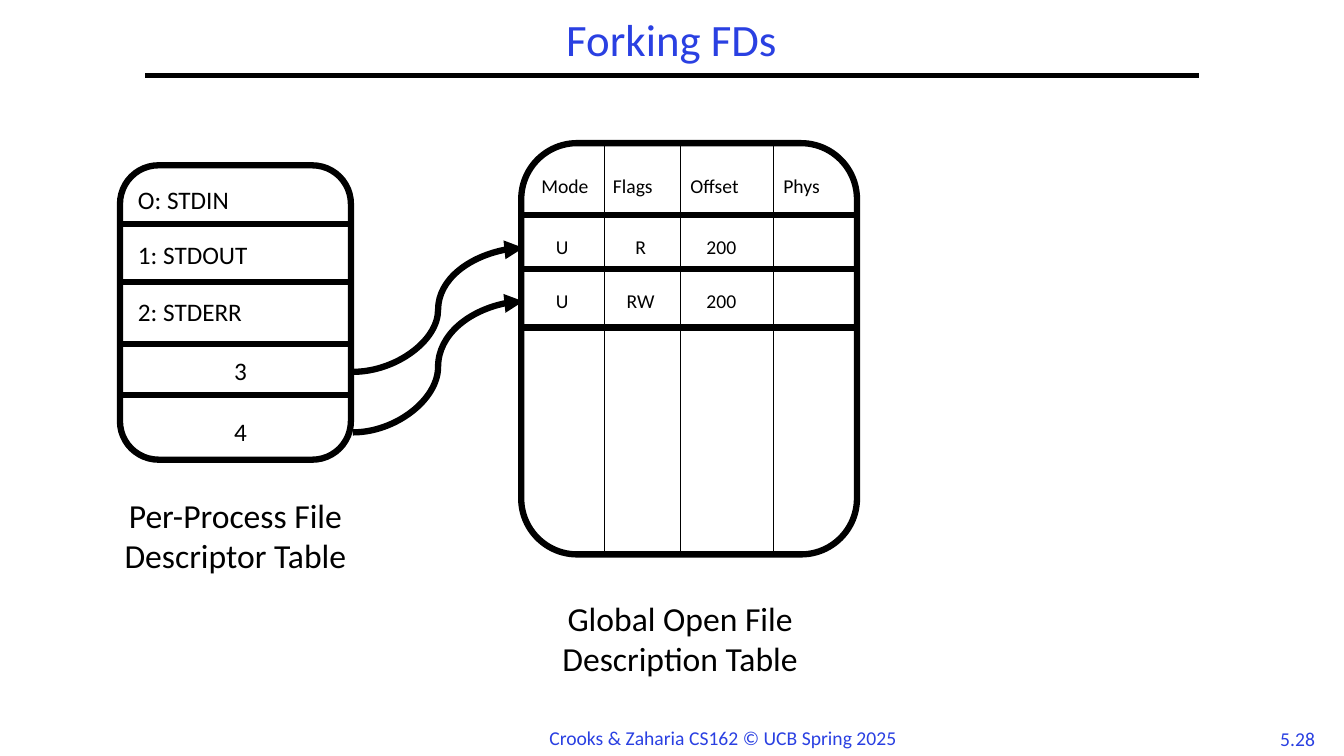
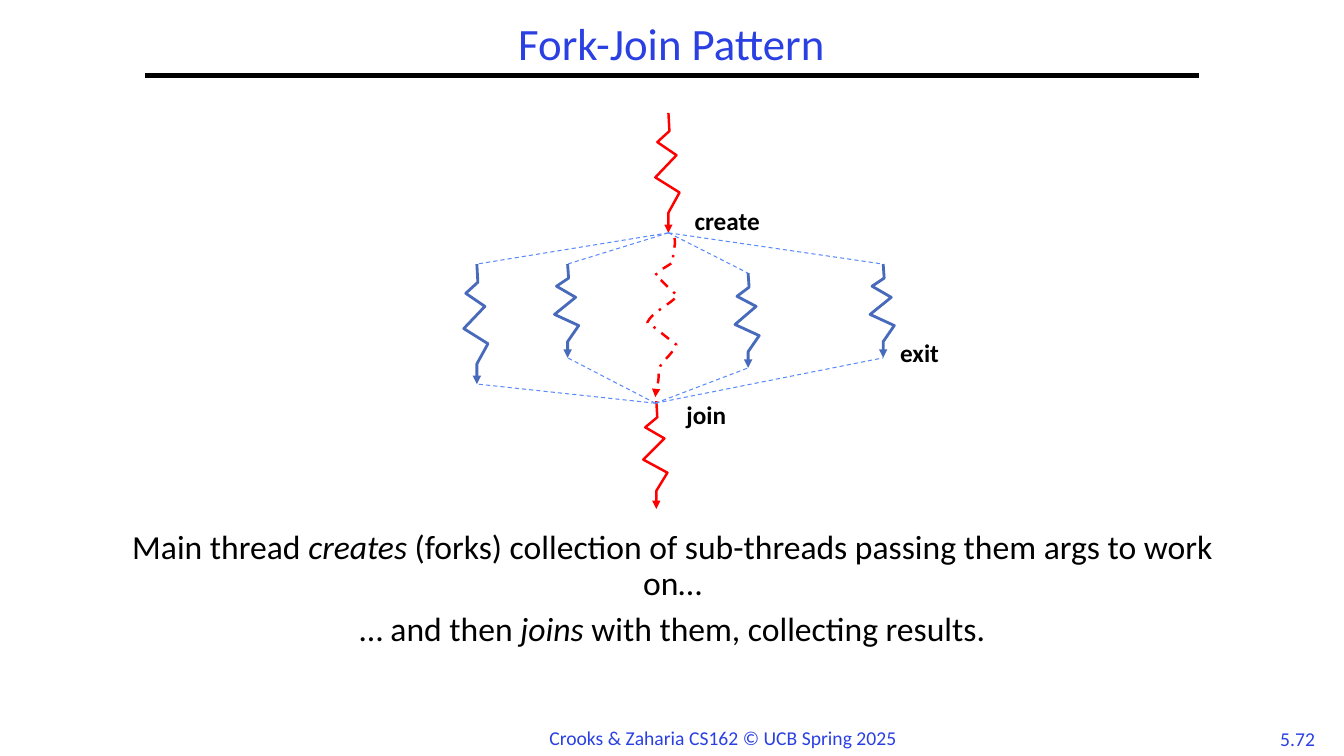
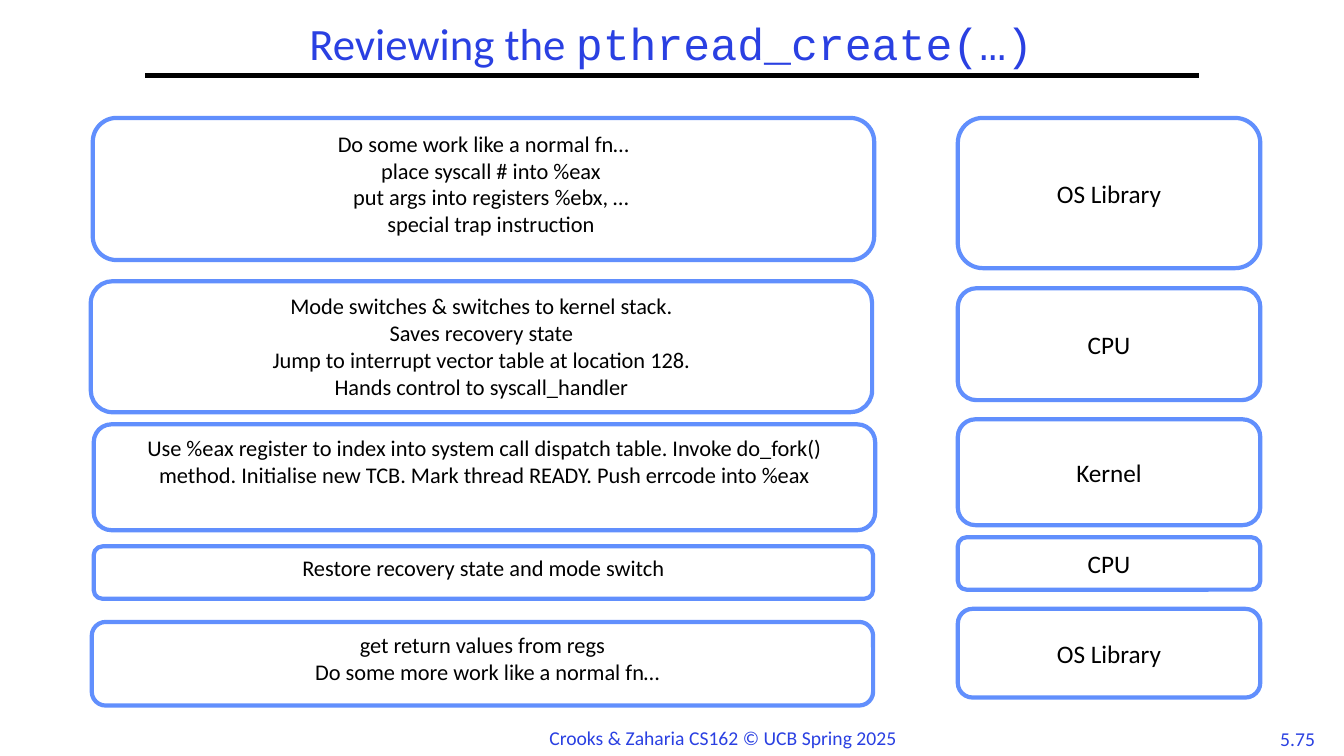
import pptx
import pptx.dml.color
import pptx.enum.dml
import pptx.enum.shapes
import pptx.enum.text
import pptx.oxml.ns
import pptx.util
from lxml import etree

PX = 9144
COLORS = {
    "black": "000000",
    "white": "FFFFFF",
    "title": "2A40E2",
    "panel": "618FFD",
    "link": "5B8AFB",
    "main": "FF0000",
    "worker": "486ABB",
}
FONT = "Calibri"
CODE_FONT = "Courier New"
DASH = pptx.enum.dml.MSO_LINE
CONNECTOR = pptx.enum.shapes.MSO_CONNECTOR
ALIGN = pptx.enum.text.PP_ALIGN
ANCHOR = pptx.enum.text.MSO_ANCHOR
qn = pptx.oxml.ns.qn

ZIGZAG = [(0, 0), (1, 0.15), (-11, 0.24), (8, 0.35), (-13, 0.54),
          (11, 0.66), (0, 0.83), (0, 1)]
WAVE = [(669, 236), (671, 244), (666, 251), (668, 260),
        (662, 264), (654, 268), (650, 273), (659, 280), (662, 286), (672, 293),
        (668, 300), (646, 310), (642, 320), (649, 324), (660, 334), (671, 342),
        (665, 354), (657, 357), (653, 367), (654, 380), (649, 387), (650, 394)]


def px(*lengths):
    return [pptx.util.Emu(round(length * PX)) for length in lengths]


def rgb(name):
    return pptx.dml.color.RGBColor.from_string(COLORS[name])


def fill_text(frame, paragraphs, size, color="black", center=True, bold=None,
              anchor=ANCHOR.TOP, wrap=True, spacing=None, before=0, indents=()):
    frame.word_wrap = wrap
    frame.vertical_anchor = anchor
    for index, runs in enumerate(paragraphs):
        paragraph = frame.paragraphs[0] if index == 0 else frame.add_paragraph()
        paragraph.alignment = ALIGN.CENTER if center else ALIGN.LEFT
        if spacing:
            paragraph.line_spacing = spacing
        if index and before:
            paragraph.space_before = pptx.util.Pt(before)
        if index < len(indents) and indents[index]:
            paragraph._p.get_or_add_pPr().set("marL", str(indents[index] * PX))
        paragraph.font.name = FONT
        paragraph.font.size = pptx.util.Pt(size)
        paragraph.font.bold = bold
        paragraph.font.color.rgb = rgb(color)
        for text, style in [(runs, None)] if isinstance(runs, str) else runs:
            run = paragraph.add_run()
            run.text = text
            if style == "italic":
                run.font.italic = True
            elif style == "code":
                run.font.name = CODE_FONT


def add_text(slide, box, paragraphs, size, **style):
    fill_text(slide.shapes.add_textbox(*px(*box)).text_frame, paragraphs, size, **style)


def style_line(shape, color, width, dash=None, arrow=False):
    shape.line.color.rgb = rgb(color)
    shape.line.width = pptx.util.Pt(width)
    if dash:
        shape.line.dash_style = dash
    if arrow:
        etree.SubElement(shape.line._get_or_add_ln(), qn("a:tailEnd"), type="triangle")


def add_line(slide, start, end, color="black", width=4.5, dash=None, arrow=False,
             kind=CONNECTOR.STRAIGHT):
    line = slide.shapes.add_connector(kind, *px(*start, *end))
    style_line(line, color, width, dash, arrow)
    etree.SubElement(line._element.spPr, qn("a:effectLst"))


def add_panel(slide, box, color, width):
    panel = slide.shapes.add_shape(
        pptx.enum.shapes.MSO_SHAPE.ROUNDED_RECTANGLE, *px(*box))
    panel.shadow.inherit = False
    panel.fill.solid()
    panel.fill.fore_color.rgb = rgb("white")
    style_line(panel, color, width)
    return panel


def add_path(slide, points, color, width, dash=None, curved=False):
    builder = slide.shapes.build_freeform(*points[0], scale=PX)
    builder.add_line_segments(points[1:], close=False)
    thread = builder.convert_to_shape()
    thread.shadow.inherit = False
    thread.fill.background()
    style_line(thread, color, width, dash, arrow=True)
    if curved:
        segments = list(thread._element.iter(qn("a:lnTo")))
        for first in range(0, len(segments), 3):
            curve = etree.Element(qn("a:cubicBezTo"))
            segments[first].addprevious(curve)
            for segment in segments[first:first + 3]:
                curve.append(segment[0])
                segment.getparent().remove(segment)


def add_thread(slide, x, y, height, color, width):
    points = [(x + dx, round(y + height * part)) for dx, part in ZIGZAG]
    add_path(slide, points, color, width)


def add_frame(deck, title, number, title_top=17):
    slide = deck.slides.add_slide(deck.slide_layouts[6])
    add_text(slide, (1258, 716, 58, 33), [number], 14, color="title", wrap=False)
    add_line(slide, (144, 75), (1189, 75), width=3)
    add_text(slide, (535, 715, 367, 34), ["Crooks & Zaharia CS162 © UCB Spring 2025"],
             14, color="title", center=False, wrap=False)
    add_text(slide, (144, title_top, 1044, 58), [title], 32, color="title",
             anchor=ANCHOR.MIDDLE, spacing=0.9)
    return slide


def descriptor_table(slide, x, y, width, height):
    add_panel(slide, (x, y, width, height), "black", 4.5)
    for row in (58, 116, 177, 228):
        add_line(slide, (x, y + row), (x + width, y + row))
    entries = [("O: STDIN", 14), ("1: STDOUT", 69), ("2: STDERR", 125),
               ("3", 184), ("4", 244)]
    for entry, top in entries:
        add_text(slide, (x + 8, y + top, 223, 40), [entry], 18, center=entry.isdigit())
    add_text(slide, (x - 52, y + 322, 333, 131), ["Per-Process File Descriptor Table"], 24)


def description_table(slide, x, y, width, height):
    add_panel(slide, (x, y, width, height), "black", 4.5)
    for row in (71, 125, 183):
        add_line(slide, (x, y + row), (x + width, y + row))
    for column in (83, 158, 250):
        add_line(slide, (x + column, y), (x + column, y + height), width=0.75)
    for header, left in [("Mode", 10), ("Flags", 81), ("Offset", 158), ("Phys", 250)]:
        add_text(slide, (x + left, y + 26, 108, 34), [header], 14, center=False)
    for top, cells in [(86, ("U", "R", "200")), (140, ("U", "RW", "200"))]:
        for left, cell in zip((2, 80, 160), cells):
            add_text(slide, (x + left, y + top, 77, 34), [cell], 14)
    add_text(slide, (x - 30, y + 446, 375, 91), ["Global Open File Description Table"], 24)


def forking_slide(deck):
    slide = add_frame(deck, "Forking FDs", "5.28", title_top=13)
    descriptor_table(slide, 119, 164, 229, 292)
    description_table(slide, 517, 142, 333, 408)
    for descriptor_y, description_y in [(369, 246), (429, 299)]:
        add_line(slide, (350, descriptor_y), (519, description_y), arrow=True,
                 kind=CONNECTOR.CURVE)


def fork_join_diagram(slide, x, y):
    fork, join = (x + 202, y + 119), (x + 189, y + 288)
    add_thread(slide, x + 202, y, 119, "main", 1.75)
    add_thread(slide, x + 190, y + 286, 107, "main", 1.75)
    workers = [(12, 150, 119), (102, 150, 93), (281, 159, 94), (415, 150, 93)]
    for left, top, height in workers:
        add_thread(slide, x + left, y + top, height, "worker", 2)
        for hub, end in [(fork, top), (join, top + height)]:
            add_line(slide, hub, (x + left, y + end), "link", 0.75, DASH.DASH)
    add_path(slide, [(x + dx - 461, y + dy - 112) for dx, dy in WAVE],
             "main", 1.75, DASH.DASH_DOT, curved=True)
    for label, left, top, width in [("create", 218, 87, 106), ("exit", 422, 218, 72),
                                    ("join", 210, 279, 73)]:
        add_text(slide, (x + left, y + top, width, 40), [label], 18, center=False,
                 bold=True, wrap=False)


def fork_join_slide(deck):
    slide = add_frame(deck, "Fork-Join Pattern", "5.72")
    add_text(slide, (92, 521, 1150, 155), [
        [("Main thread ", None), ("creates", "italic"),
         (" (forks) collection of sub-threads passing them args to work on…", None)],
        [("… and then ", None), ("joins", "italic"),
         (" with them, collecting results.", None)],
    ], 24, spacing=0.9, before=7)
    fork_join_diagram(slide, 461, 112)


def step_row(slide, step_box, steps, indents, actor, actor_top, actor_height):
    step = add_panel(slide, step_box, "panel", 3)
    fill_text(step.text_frame, steps, 16, indents=indents)
    owner = add_panel(slide, (950, actor_top, 300, actor_height), "panel", 3)
    fill_text(owner.text_frame, [actor], 18, anchor=ANCHOR.MIDDLE)


def pthread_slide(deck):
    slide = add_frame(deck, [("Reviewing the ", None), ("pthread_create(…)", "code")], "5.75")
    rows = [
        ((92, 117, 775, 141),
         ["Do some work like a normal fn…", "place syscall # into %eax",
          "put args into registers %ebx, …", "special trap instruction"],
         (0, 15, 15, 15), "OS Library", 117, 149),
        ((90, 279, 775, 130),
         ["Mode switches & switches to kernel stack.", "Saves recovery state",
          "Jump to interrupt vector table at location 128.",
          "Hands control to syscall_handler"],
         (), "CPU", 286, 111),
        ((93, 421, 775, 105),
         ["Use %eax register to index into system call dispatch table. Invoke do_fork() "
          "method. Initialise new TCB. Mark thread READY. Push errcode into %eax"],
         (), "Kernel", 416, 105),
        ((93, 542, 773, 52), ["Restore recovery state and mode switch"],
         (), "CPU", 533, 52),
        ((91, 617, 775, 83),
         ["get return values from regs", "Do some more work like a normal fn…"],
         (0, 10), "OS Library", 604, 88),
    ]
    for row in rows:
        step_row(slide, *row)


def main():
    deck = pptx.Presentation()
    deck.slide_width, deck.slide_height = px(1333, 750)
    forking_slide(deck)
    fork_join_slide(deck)
    pthread_slide(deck)
    deck.save("out.pptx")


if __name__ == "__main__":
    main()
